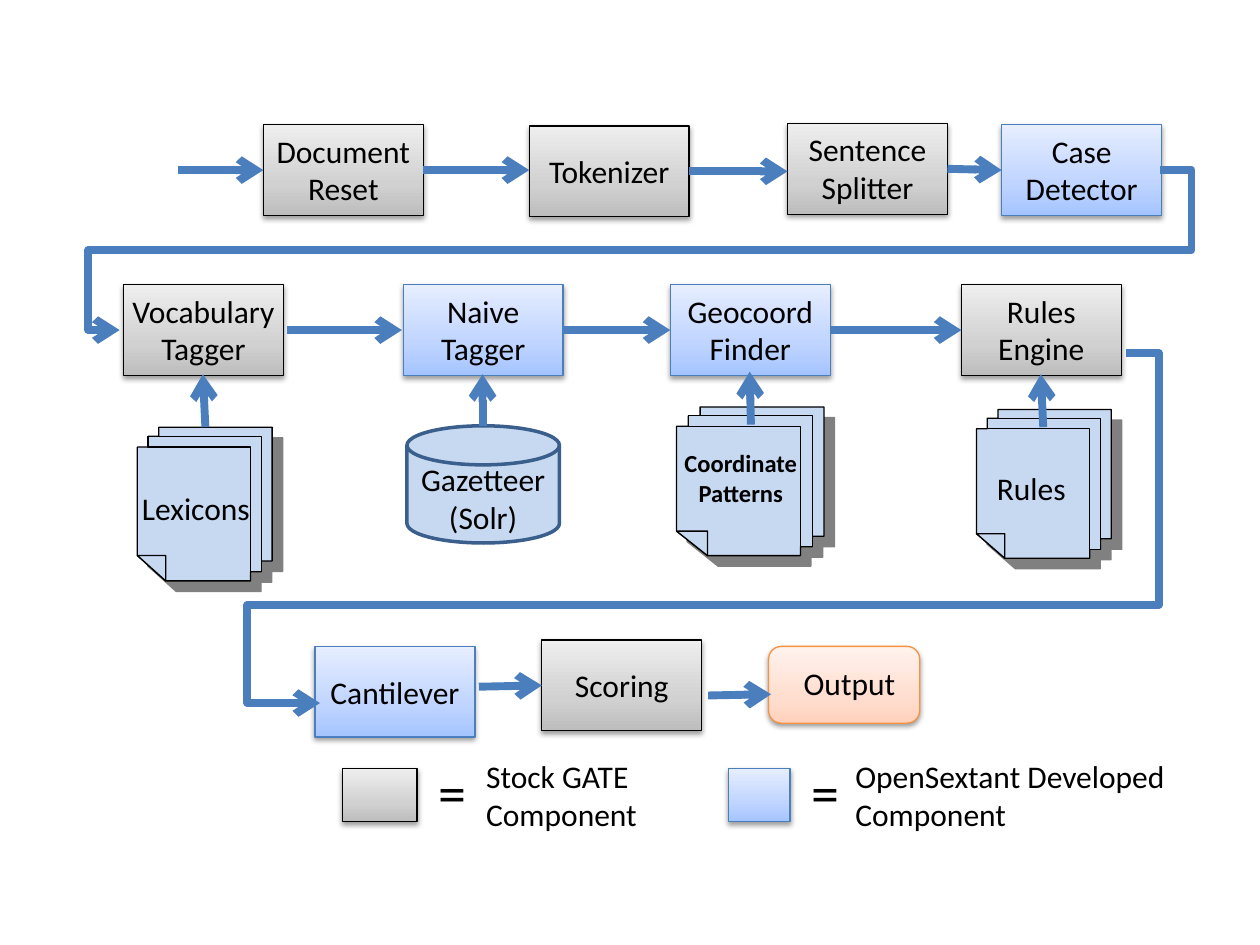
"""Build a slide showing a text-tagging pipeline with its component legend."""
from lxml import etree
from pptx import Presentation
from pptx.dml import color
from pptx.enum import shapes, text
from pptx.oxml import ns
from pptx.util import Inches, Pt

BLACK, BLUE, PAPER = "000000", "4B7EBC", "C6D9F1"
STOCK = (("BDBDBD", "D1D1D1", "EEEEEE"), BLACK)
CUSTOM = (("A4C4FF", "BFD4FF", "E6EEFF"), BLUE)
RESULT = (("FFD2BD", "FFDED0", "FFF2ED"), "F69240")
BOX_WIDTH, BOX_HEIGHT = 1.27, 0.72
LABEL_HEIGHTS = {1: 0.4, 2: 0.71}

STEPS = [
    ("Document\vReset", 2.09, 0.99, STOCK, 2),
    ("Tokenizer", 4.2, 1, STOCK, 1),
    ("Sentence Splitter", 6.25, 0.98, STOCK, 2),
    ("Case\nDetector", 7.95, 0.99, CUSTOM, 2),
    ("Vocabulary Tagger", 0.98, 2.26, STOCK, 2),
    ("Naive Tagger", 3.2, 2.26, CUSTOM, 2),
    ("Geocoord Finder", 5.32, 2.26, CUSTOM, 2),
    ("Rules Engine", 7.63, 2.26, STOCK, 2),
    ("Cantilever", 2.5, 5.13, CUSTOM, 1),
    ("Scoring", 4.3, 5.08, STOCK, 1),
]
SHEETS = [(1.09, 3.39, 1.07, 1.22), (5.37, 3.23, 1.17, 1.18), (7.75, 3.25, 1.07, 1.18)]
ARROWS = [
    ((1.41, 1.35), (2.09, 1.35)),
    ((3.36, 1.35), (4.2, 1.35)),
    ((5.47, 1.36), (6.25, 1.36)),
    ((7.52, 1.34), (7.95, 1.35)),
    ((2.28, 2.62), (3.19, 2.62)),
    ((4.46, 2.62), (5.32, 2.62)),
    ((6.59, 2.62), (7.63, 2.62)),
    ((3.8, 5.45), (4.3, 5.44)),
    ((5.62, 5.52), (6.12, 5.51)),
    ((1.63, 3.39), (1.61, 2.97)),
    ((3.83, 3.38), (3.83, 2.97)),
    ((5.96, 3.37), (5.95, 2.95)),
    ((8.28, 3.39), (8.26, 2.97)),
]
RETURNS = [
    ((9.21, 1.35), (0.95, 2.62), (-0.03, 0.5, 1.03)),
    ((8.94, 2.8), (2.54, 5.58), (-0.04, 0.72, 1.09)),
]


def rgb(value):
    """Turn a hex string into a colour."""
    return color.RGBColor.from_string(value)


def child(parent, tag, **attributes):
    """Append a drawing element to a parent and return it."""
    node = etree.SubElement(parent, ns.qn(tag))
    for name, value in attributes.items():
        node.set(name, str(value))
    return node


def set_outline(shape, value, width):
    """Give a shape a plain line."""
    shape.line.color.rgb = rgb(value)
    shape.line.width = Pt(width)


def set_shadow(shape, value, opacity, blur, distance, angle):
    """Give a shape an outer shadow."""
    shape.shadow.inherit = False
    effects = shape.element.spPr.find(ns.qn("a:effectLst"))
    shadow = child(effects, "a:outerShdw", blurRad=Pt(blur), dist=Pt(distance),
                   dir=angle * 60000, algn="ctr", rotWithShape=0)
    tint = child(shadow, "a:srgbClr", val=value)
    child(tint, "a:alpha", val=opacity * 1000)


def set_gradient(shape, values):
    """Fill a shape with three stops running from bottom to top."""
    shape.fill.gradient()
    shape.fill.gradient_angle = 90
    stops = shape.element.spPr.find(ns.qn("a:gradFill")).find(ns.qn("a:gsLst"))
    for stop in list(stops):
        stops.remove(stop)
    for place, value in zip((0, 35, 100), values):
        child(child(stops, "a:gs", pos=place * 1000), "a:srgbClr", val=value)


def add_box(page, left, top, width, height, style, kind=shapes.MSO_SHAPE.RECTANGLE):
    """Draw a shaded component box."""
    box = page.shapes.add_shape(kind, Inches(left), Inches(top), Inches(width), Inches(height))
    values, edge = style
    set_gradient(box, values)
    set_outline(box, edge, 0.75)
    set_shadow(box, BLACK, 38, 3.1, 1.6, 90)


def add_label(page, words, left, top, width, height, size=18, bold=False, centred=True):
    """Write a label with one paragraph per line of words."""
    box = page.shapes.add_textbox(Inches(left), Inches(top), Inches(width), Inches(height))
    frame = box.text_frame
    frame.word_wrap = True
    frame.auto_size = text.MSO_AUTO_SIZE.SHAPE_TO_FIT_TEXT
    for index, line in enumerate(words.split("\n")):
        para = frame.add_paragraph() if index else frame.paragraphs[0]
        para.alignment = text.PP_ALIGN.CENTER if centred else text.PP_ALIGN.LEFT
        for position, part in enumerate(line.split("\v")):
            if position:
                para.add_line_break()
            span = para.add_run()
            span.text = part
            span.font.name = "Calibri"
            span.font.size = Pt(size)
            span.font.bold = bold
            span.font.color.rgb = rgb(BLACK)


def add_step(page, words, left, top, style, lines):
    """Draw a pipeline step with its label centred on the box."""
    add_box(page, left, top, BOX_WIDTH, BOX_HEIGHT, style)
    height = LABEL_HEIGHTS[lines]
    margin = 0.03
    add_label(page, words, left - margin, top + (BOX_HEIGHT - height) / 2,
              BOX_WIDTH + 2 * margin, height)


def add_outline(page, points):
    """Draw a closed paper-coloured outline."""
    corners = [(Inches(x), Inches(y)) for x, y in points]
    builder = page.shapes.build_freeform(*corners[0])
    builder.add_line_segments(corners[1:], close=True)
    outline = builder.convert_to_shape()
    outline.fill.solid()
    outline.fill.fore_color.rgb = rgb(PAPER)
    set_outline(outline, BLACK, 0.75)
    outline.shadow.inherit = False
    return outline


def add_sheets(page, left, top, width, height):
    """Draw three stacked sheets, the front one with a folded corner."""
    x1, x2, x3, x4 = (left + width * part for part in (0.08, 0.16, 0.84, 0.92))
    y1, y2, y3, y4 = (top + height * part for part in (0.06, 0.13, 0.87, 0.94))
    right, bottom = left + width, top + height
    fold_x, fold_y = left + 0.21 * width, bottom - 0.165 * height
    stack = add_outline(page, [
        (left, fold_y), (left, y2), (x1, y2), (x1, y1), (x2, y1), (x2, top), (right, top),
        (right, y3), (x4, y3), (x4, y4), (x3, y4), (x3, bottom), (fold_x, bottom)])
    set_shadow(stack, "808080", 100, 0, 8.5, 45)
    add_outline(page, [(x1, y1), (x4, y1), (x4, y4), (x3, y4), (x3, y2), (x1, y2)])
    add_outline(page, [(left, fold_y), (fold_x, fold_y), (fold_x, bottom)])


def add_arrow(page, start, end, bends=()):
    """Draw an arrow, straight or with the given bends."""
    kind = shapes.MSO_CONNECTOR.ELBOW if bends else shapes.MSO_CONNECTOR.STRAIGHT
    arrow = page.shapes.add_connector(kind, *map(Inches, start + end))
    set_outline(arrow, BLUE, 4.5)
    properties = arrow.element.spPr
    child(properties.find(ns.qn("a:ln")), "a:tailEnd", type="arrow")
    child(properties, "a:effectLst")
    if bends:
        geometry = properties.find(ns.qn("a:prstGeom"))
        geometry.set("prst", "bentConnector5")
        guides = geometry.find(ns.qn("a:avLst"))
        for number, bend in enumerate(bends, 1):
            child(guides, "a:gd", name=f"adj{number}", fmla=f"val {round(bend * 100000)}")


def add_database(page):
    """Draw the gazetteer store."""
    disk = page.shapes.add_shape(shapes.MSO_SHAPE.FLOWCHART_MAGNETIC_DISK,
                                 Inches(3.23), Inches(3.38), Inches(1.21), Inches(0.93))
    disk.fill.solid()
    disk.fill.fore_color.rgb = rgb(PAPER)
    set_outline(disk, "3A5F8C", 2)
    disk.shadow.inherit = False
    add_label(page, "Gazetteer\n(Solr)", 3.2, 3.6, BOX_WIDTH, 0.71)


def add_legend(page, words, style, swatch, sign, label):
    """Explain one box style; each place is a left edge and a width."""
    add_box(page, swatch[0], 6.1, swatch[1], 0.42, style)
    add_label(page, "=", sign, 5.96, 0.42, 0.64, size=32, centred=False)
    add_label(page, words, label[0], 5.96, label[1], 0.71, centred=False)


def main():
    """Build and save the slide."""
    deck = Presentation()
    deck.slide_width, deck.slide_height = Inches(10), Inches(7.5)
    page = deck.slides.add_slide(deck.slide_layouts[6])
    for step in STEPS:
        add_step(page, *step)
    for sheets in SHEETS:
        add_sheets(page, *sheets)
    add_label(page, "Lexicons", 1.02, 3.83, 1.07, 0.4)
    add_label(page, "Coordinate\nPatterns", 5.08, 3.51, 1.6, 0.57, size=14, bold=True)
    add_label(page, "Rules", 7.65, 3.67, 1.07, 0.4)
    add_database(page)
    add_box(page, 6.1, 5.13, 1.2, 0.61, RESULT, shapes.MSO_SHAPE.ROUNDED_RECTANGLE)
    add_label(page, "Output", 6.28, 5.22, 1.19, 0.4, centred=False)
    for arrow in ARROWS + RETURNS:
        add_arrow(page, *arrow)
    add_legend(page, "Stock GATE Component", STOCK, (2.72, 0.59), 3.38, (3.76, 1.49))
    add_legend(page, "OpenSextant Developed Component", CUSTOM, (5.78, 0.49), 6.34, (6.69, 2.69))
    deck.save("out.pptx")


if __name__ == "__main__":
    main()
